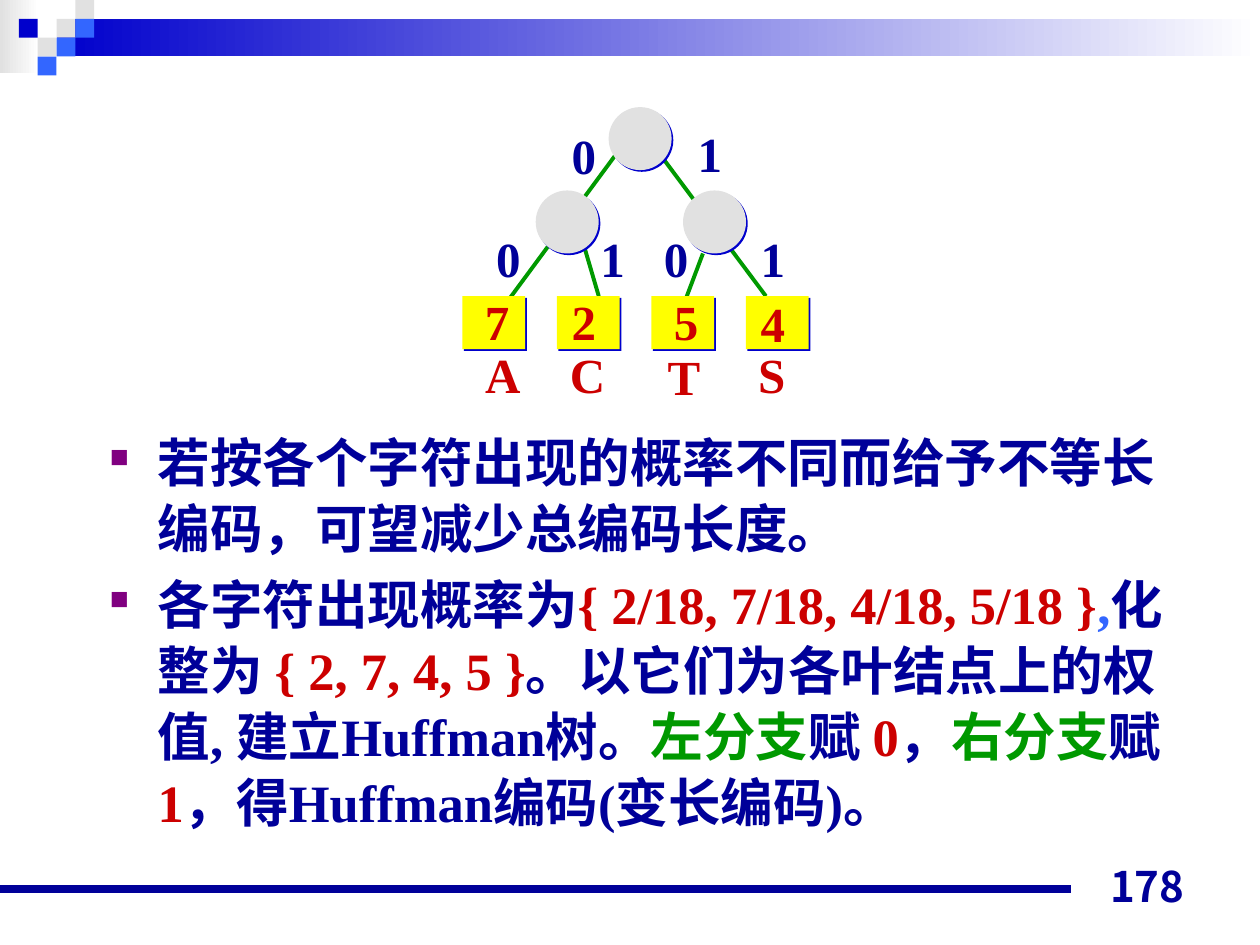
import pptx
import pptx.util
import pptx.dml.color
import pptx.enum.shapes
import pptx.enum.text
import pptx.oxml
import pptx.oxml.ns

Cm, Pt = pptx.util.Cm, pptx.util.Pt
SHAPE = pptx.enum.shapes.MSO_SHAPE
ALIGN = pptx.enum.text.PP_ALIGN
ANCHOR = pptx.enum.text.MSO_ANCHOR
FIT = pptx.enum.text.MSO_AUTO_SIZE
NS = pptx.oxml.ns.nsdecls("a")

COLORS = {
    "white": "FFFFFF", "grey": "E1E1E1", "blue": "0000CC", "sky": "3366FF",
    "navy": "000099", "red": "CC0000", "green": "009900", "yellow": "FFFF00",
    "purple": "800080",
}
SERIF, SANS = "Times New Roman", "Noto Sans CJK JP"

BANNERS = [((0, 0, 0.79, 1.47), "grey"), ((1.14, 0.38, 24.26, 0.76), "blue")]
TILE = 0.38
TILES = [
    (3, 1, "grey"), (4, 0, "grey"), (4, 1, "sky"), (2, 2, "grey"),
    (1, 1, "blue"), (3, 2, "sky"), (2, 3, "sky"),
]

EDGES = [
    (14.17, 5.11, 13.77, 6.17), (12.9, 2.57, 15.44, 5.97),
    (11.63, 4.47, 12.07, 5.97), (12.5, 3, 10.16, 6.17),
]
NODE_SIZE = 1.27
NODES = [(12.27, 2.16), (10.8, 3.84), (13.77, 3.84)]
LEAF_LEFT, LEAF_TOP, LEAF_PITCH, LEAF_HEIGHT = 9.32, 5.97, 1.905, 1.07
LEAVES = [
    ("7", 10.02, 5.74, "A", 10.13, 6.81),
    ("2", 11.77, 5.74, "C", 11.84, 6.81),
    ("5", 13.83, 5.74, "T", 13.79, 6.86),
    ("4", 15.58, 5.79, "S", 15.56, 6.81),
]
BITS = [
    ("0", 11.77, 2.39), ("1", 14.31, 2.36), ("0", 10.25, 4.47),
    ("1", 12.35, 4.47), ("0", 13.63, 4.47), ("1", 15.58, 4.47),
]

POINTS = [
    [("若按各个字符出现的概率不同而给予不等长编码，可望减少总编码长度。", "navy")],
    [
        ("各字符出现概率为", "navy"), ("{ 2/18, 7/18, 4/18, 5/18 }", "red"),
        (",", "sky"), ("化整为 ", "navy"), ("{ 2, 7, 4, 5 }", "red"),
        ("。以它们为各叶结点上的权值, 建立Huffman树。", "navy"),
        ("左分支", "green"), ("赋 ", "navy"), ("0", "red"), ("，", "navy"),
        ("右分支", "green"), ("赋 ", "navy"), ("1", "red"),
        ("，得Huffman编码(变长编码)。", "navy"),
    ],
]
PAGE_NUMBER = "178"


def rgb(color):
    return pptx.dml.color.RGBColor.from_string(COLORS[color])


def add_block(slide, kind, box, color, raised=False):
    block = slide.shapes.add_shape(kind, *map(Cm, box))
    block.shadow.inherit = False
    block.line.fill.background()
    block.fill.solid()
    block.fill.fore_color.rgb = rgb(color)
    if raised:
        effects = block._element.spPr.find(pptx.oxml.ns.qn("a:effectLst"))
        effects.append(pptx.oxml.parse_xml(
            f'<a:outerShdw {NS} dist="17780" dir="2700000" algn="ctr" rotWithShape="0">'
            f'<a:srgbClr val="{COLORS["blue"]}"/></a:outerShdw>'))
    return block


def add_banner(slide, box, color):
    banner = add_block(slide, SHAPE.RECTANGLE, box, color)
    banner.fill.gradient()
    banner.fill.gradient_angle = 180
    for stop, name in zip(banner.fill.gradient_stops, ("white", color)):
        stop.color.rgb = rgb(name)


def add_stroke(slide, ends, color, width):
    stroke = slide.shapes.add_connector(
        pptx.enum.shapes.MSO_CONNECTOR.STRAIGHT, *map(Cm, ends))
    stroke.line.color.rgb = rgb(color)
    stroke.line.width = Pt(width)
    stroke._element.spPr.append(pptx.oxml.parse_xml(f"<a:effectLst {NS}/>"))


def style(run, color, size, font=SERIF):
    run.font.name = font
    run.font.size = Pt(size)
    run.font.bold = True
    run.font.color.rgb = rgb(color)


def add_label(slide, text, center, top, color, width=1):
    label = slide.shapes.add_textbox(
        Cm(center - width / 2), Cm(top), Cm(width), Cm(1.45))
    frame = label.text_frame
    frame.word_wrap = False
    frame.auto_size = FIT.SHAPE_TO_FIT_TEXT
    frame.vertical_anchor = ANCHOR.MIDDLE
    frame.text = text
    frame.paragraphs[0].alignment = ALIGN.CENTER
    style(frame.paragraphs[0].runs[0], color, 28)


def add_points(slide):
    frame = slide.shapes.add_textbox(Cm(1.96), Cm(8.48), Cm(22.43), Cm(8.46)).text_frame
    frame.word_wrap = True
    frame.auto_size = FIT.SHAPE_TO_FIT_TEXT
    for index, pieces in enumerate(POINTS):
        paragraph = frame.add_paragraph() if index else frame.paragraphs[0]
        paragraph.line_spacing = 1.05
        paragraph.space_before = Pt(5.6 if index else 0)
        props = paragraph._p.get_or_add_pPr()
        props.set("marL", str(Cm(0.97)))
        props.set("indent", str(-Cm(0.97)))
        for bullet in (
            f'<a:buClr {NS}><a:srgbClr val="{COLORS["purple"]}"/></a:buClr>',
            f'<a:buSzPct {NS} val="50000"/>',
            f'<a:buChar {NS} char="■"/>',
        ):
            props.append(pptx.oxml.parse_xml(bullet))
        for text, color in pieces:
            run = paragraph.add_run()
            run.text = text
            style(run, color, 30)


def add_page_number(slide):
    frame = slide.shapes.add_textbox(Cm(18.21), Cm(17.22), Cm(5.92), Cm(1.27)).text_frame
    frame.word_wrap = True
    frame.vertical_anchor = ANCHOR.BOTTOM
    frame.text = PAGE_NUMBER
    frame.paragraphs[0].alignment = ALIGN.RIGHT
    style(frame.paragraphs[0].runs[0], "navy", 24, SANS)


def add_tree(slide):
    for ends in EDGES:
        add_stroke(slide, ends, "green", 2.25)
    for left, top in NODES:
        add_block(slide, SHAPE.OVAL, (left, top, NODE_SIZE, NODE_SIZE), "grey", True)
    for index, (weight, weight_x, weight_y, letter, letter_x, letter_y) in enumerate(LEAVES):
        left = LEAF_LEFT + index * LEAF_PITCH
        add_block(slide, SHAPE.RECTANGLE, (left, LEAF_TOP, NODE_SIZE, LEAF_HEIGHT), "yellow", True)
        add_label(slide, weight, weight_x, weight_y, "red")
        add_label(slide, letter, letter_x, letter_y, "red", 1.2)
    for bit, center, top in BITS:
        add_label(slide, bit, center, top, "navy")


def main():
    deck = pptx.Presentation()
    deck.slide_width, deck.slide_height = Cm(25.4), Cm(19.05)
    slide = deck.slides.add_slide(deck.slide_layouts[6])
    for box, color in BANNERS:
        add_banner(slide, box, color)
    for column, row, color in TILES:
        add_block(slide, SHAPE.RECTANGLE, (column * TILE, row * TILE, TILE, TILE), color)
    add_stroke(slide, (0, 17.93, 21.59, 17.93), "navy", 4.5)
    add_points(slide)
    add_tree(slide)
    add_page_number(slide)
    deck.save("out.pptx")


if __name__ == "__main__":
    main()
